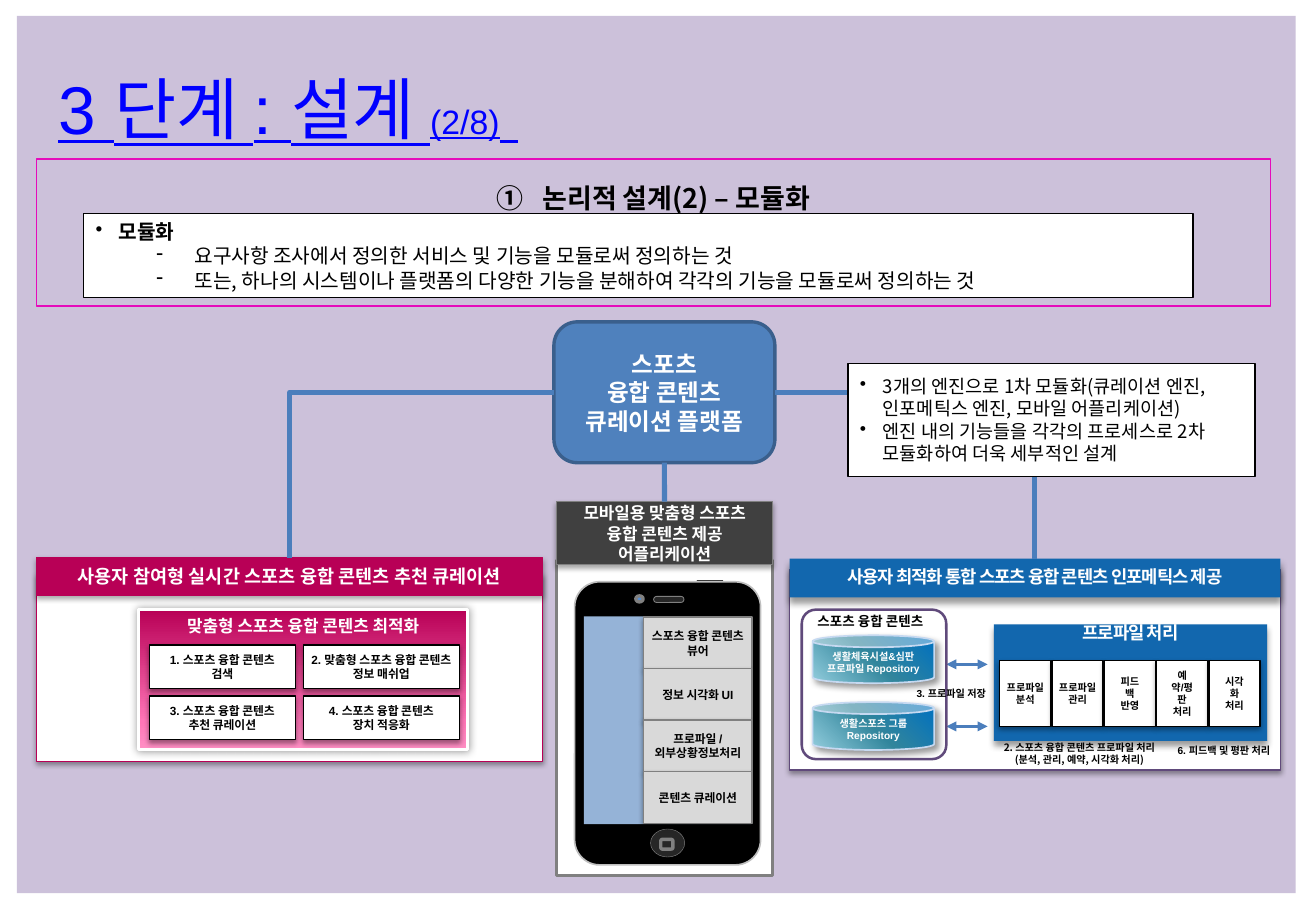
"""Builds the modular design slide of a sports content curation platform."""
import lxml.etree
import pptx
import pptx.dml.color
import pptx.enum.shapes
import pptx.enum.text
import pptx.oxml.ns
import pptx.util

TITLE = [("3 단계 : 설계 ", 40), ("(2/8)", 20), (" ", 40)]
HEADING = "논리적 설계(2) – 모듈화"
POINTS = [
    ("모듈화", "•", 13.5, 13.5, True),
    ("요구사항 조사에서 정의한 서비스 및 기능을 모듈로써 정의하는 것", "-", 58.5, 22.5, False),
    ("또는, 하나의 시스템이나 플랫폼의 다양한 기능을 분해하여 각각의 기능을 모듈로써 정의하는 것", "-", 58.5, 22.5, False),
]
NOTES = [
    "3개의 엔진으로 1차 모듈화(큐레이션 엔진, 인포메틱스 엔진, 모바일 어플리케이션)",
    "엔진 내의 기능들을 각각의 프로세스로 2차 모듈화하여 더욱 세부적인 설계",
]
CORE = ["스포츠", "융합 콘텐츠", "큐레이션 플랫폼"]
LEFT = "사용자 참여형 실시간 스포츠 융합 콘텐츠 추천 큐레이션"
BEST = "맞춤형 스포츠 융합 콘텐츠 최적화"
TASKS = [
    ["1. 스포츠 융합 콘텐츠", "검색"],
    ["2. 맞춤형 스포츠 융합 콘텐츠", "정보 매쉬업"],
    ["3. 스포츠 융합 콘텐츠", "추천 큐레이션"],
    ["4. 스포츠 융합 콘텐츠", "장치 적응화"],
]
RIGHT = "사용자 최적화 통합 스포츠 융합 콘텐츠 인포메틱스 제공"
PROFILE = "프로파일 처리"
STEPS = [
    (["프로파일 분석"], 0), (["프로파일 관리"], 0), (["피드백", "반영"], 7.2),
    (["예약/평판", "처리"], 7.2), (["시각화", "처리"], 7.2),
]
STORES = ["생활체육시설&심판 프로파일 Repository", "생활스포츠 그룹 Repository"]
LABELS = [
    (["스포츠 융합 콘텐츠"], (467.3, 363.6, 97.2, 9.4), 8, "Arial"),
    (["2. 스포츠 융합 콘텐츠 프로파일 처리", "(분석, 관리, 예약, 시각화 처리)"],
     (586.1, 439.2, 107.3, 14.4), 6, "Noto Sans CJK KR"),
    (["3. 프로파일 저장"], (524.2, 407.5, 79.2, 7.2), 6, "Arial"),
    (["6. 피드백 및 평판 처리"], (691.9, 441.4, 67, 7.2), 6, "Arial"),
]
MOBILE = ["모바일용 맞춤형 스포츠 융합 콘텐츠 제공", "어플리케이션"]
APPS = [["스포츠 융합 콘텐츠", "뷰어"], ["정보 시각화 UI"], ["프로파일 / 외부상황정보처리"], ["콘텐츠 큐레이션"]]
PHONE = [
    ("round", (412.9, 343.8, 15.8, 3.6), "262626", None, 0, None),
    ("round", (340.6, 344.9, 110.2, 167.8), "000000", "BFBFBF", 1, 0.135),
    ("rect", (346, 365.4, 99.4, 123.1), "95B3D7", None, 0, None),
    ("oval", (385.6, 491.4, 20.2, 16.6), "262626", "808080", 0.25, None),
    ("round", (391.7, 497.5, 7.2, 5.8), None, "808080", 2, None),
    ("round", (387.4, 353.5, 18, 3.6), "262626", "808080", 0.5, 0.5),
    ("oval", (376.9, 353.2, 4.3, 3.6), "558ED5", "808080", 2, None),
]
THEME = {
    "latin": "Arial", "asian": "Noto Sans CJK KR",
    "ink": "000000", "paper": "FFFFFF", "link": "0000FF", "back": "CCC1DA",
    "frame": "E50BBB", "core": "4F81BD", "rim": "3A5F8C", "wire": "4B7EBC",
    "rose": "B80056", "blue": "1267AE", "plum": "604A7B", "grey": "808080",
    "dark": "404040", "tile": "D9D9D9", "ice": "C6D9F1",
    "pink": [(0, "B80056"), (80, "FF75B7"), (100, "FF8FC4")],
    "sea": [(0, "0070C0"), (50, "31859C"), (100, "93CDDD")],
    "head": 16, "point": 12, "note": 11, "hub": 14, "bar": 11, "slim": 10.5,
    "sub": 10, "task": 7, "step": 6,
}
SOFT, BAR, DEEP = (38, 3.1, 1.6, 90), (35, 3.1, 1.8, 90), (40, 4, 3, 90)
GLOW, SLANT = (40, 5, 0, 0), (40, 4, 3, 45)
KIND = pptx.enum.shapes.MSO_SHAPE
FORMS = {"rect": KIND.RECTANGLE, "round": KIND.ROUNDED_RECTANGLE, "oval": KIND.OVAL, "can": KIND.CAN}
ALIGN, ANCHOR = pptx.enum.text.PP_ALIGN, pptx.enum.text.MSO_ANCHOR
JOIN = pptx.enum.shapes.MSO_CONNECTOR
Pt = pptx.util.Pt

deck = pptx.Presentation()
deck.slide_width, deck.slide_height = Pt(780), Pt(540)
slide = deck.slides.add_slide(deck.slide_layouts[6])


def tone(key):
    return pptx.dml.color.RGBColor.from_string(THEME.get(key, key))


def node(parent, tag, **attrs):
    child = lxml.etree.SubElement(parent, pptx.oxml.ns.qn("a:" + tag))
    for key, value in attrs.items():
        child.set(key, str(value))
    return child


def blend(shape, stops, angle):
    shape.fill.gradient()
    shape.fill.gradient_angle = 360 - angle
    holder = shape._element.spPr.find(".//" + pptx.oxml.ns.qn("a:gsLst"))
    for old in list(holder):
        holder.remove(old)
    for spot, color in stops:
        node(node(holder, "gs", pos=spot * 1000), "srgbClr", val=color)


def box(at, fill=None, edge=None, width=0.75, shade=None, form="rect", bend=None, angle=90):
    shape = slide.shapes.add_shape(FORMS[form], *map(Pt, at))
    shape.shadow.inherit = False
    if bend is not None:
        shape.adjustments[0] = bend
    if fill is None:
        shape.fill.background()
    elif isinstance(THEME.get(fill), list):
        blend(shape, THEME[fill], angle)
    else:
        shape.fill.solid()
        shape.fill.fore_color.rgb = tone(fill)
    if edge:
        shape.line.color.rgb = tone(edge)
        shape.line.width = Pt(width)
    else:
        shape.line.fill.background()
    if shade:
        alpha, blur, dist, turn = shade
        effect = shape._element.spPr.find(pptx.oxml.ns.qn("a:effectLst"))
        cast = node(effect, "outerShdw", blurRad=Pt(blur), dist=Pt(dist), dir=turn * 60000, rotWithShape=0)
        node(node(cast, "srgbClr", val=THEME["ink"]), "alpha", val=alpha * 1000)
    return shape


def style(para, size, color="ink", font="latin", bold=True, space=0):
    para.font.size, para.font.bold = Pt(size), bold
    para.font.name = THEME.get(font, font)
    para.font.color.rgb = tone(color)
    props = para._p.pPr.find(pptx.oxml.ns.qn("a:defRPr"))
    node(props, "ea", typeface=THEME["asian"])
    if space:
        props.set("spc", str(space))


def bullet(para, mark, left, hang):
    props = para._p.get_or_add_pPr()
    props.set("marL", str(Pt(left)))
    props.set("indent", str(-Pt(hang)))
    if mark == "①":
        node(props, "buAutoNum", type="circleNumDbPlain")
    else:
        node(props, "buChar", char=mark)


def setup(shape, side=7.2, top=3.6, anchor=ANCHOR.MIDDLE):
    frame = shape.text_frame
    frame.word_wrap, frame.vertical_anchor = True, anchor
    frame.margin_left = frame.margin_right = Pt(side)
    frame.margin_top = frame.margin_bottom = Pt(top)
    return frame


def lines(frame, texts):
    for place, text in enumerate(texts):
        para = frame.add_paragraph() if place else frame.paragraphs[0]
        para.text = text
        yield para


def write(shape, texts, size, color="ink", font="latin", ratio=None, space=0, **layout):
    for para in lines(setup(shape, **layout), texts):
        para.alignment = ALIGN.CENTER
        if ratio:
            para.line_spacing = ratio
        style(para, size, color, font, space=space)


def wire(ends, width, form=JOIN.STRAIGHT):
    line = slide.shapes.add_connector(form, *map(Pt, ends))
    line.line.color.rgb, line.line.width = tone("wire"), Pt(width)
    node(line._element.spPr, "effectLst")
    return line


box((10, 9.4, 758, 520), "back")
frame = setup(box((21.6, 94.3, 731.5, 87.1), edge="frame"), anchor=ANCHOR.TOP)
for para in lines(frame, [HEADING]):
    para.line_spacing = 1.5
    bullet(para, "①", 27, 27)
    style(para, THEME["head"], font="asian")

title = setup(slide.shapes.add_textbox(*map(Pt, (27.4, 36, 629.3, 55.4))), anchor=ANCHOR.TOP).paragraphs[0]
style(title, TITLE[0][1], "link", bold=False)
title.font.underline = True
for text, size in TITLE:
    run = title.add_run()
    run.text, run.font.size = text, Pt(size)

frame = setup(box((49.7, 126.7, 657.4, 49.7), "paper", "ink"))
for para, point in zip(lines(frame, [point[0] for point in POINTS]), POINTS):
    bullet(para, *point[1:4])
    para.level = int(point[1] == "-")
    para.alignment = ALIGN.LEFT
    style(para, THEME["point"], font="asian", bold=point[4])

core = box((328.3, 190.8, 131, 83.5), "core", "rim", 2, form="round")
write(core, CORE, THEME["hub"], "paper", "asian")

box((21.6, 339.8, 300.2, 111.6), "paper", "rose", shade=SOFT)
left = box((21.6, 330.5, 300.2, 22.3), "rose", "rose", shade=BAR)
write(left, [LEFT], THEME["bar"], "paper", "asian")
best = box((82.1, 361.4, 195.1, 82.8), "pink", "paper", 2, GLOW)
write(best, [BEST], THEME["sub"], "paper", anchor=ANCHOR.TOP)
for place, task in enumerate(TASKS):
    row, col = divmod(place, 2)
    cell = box((88.6 + 91.2 * col, 382.3 + 30.3 * row, 86.4 + 6 * col, 25.9), "paper", "ink", shade=SOFT)
    write(cell, task, THEME["task"], side=0)

box((468, 337.7, 290.9, 118.8), "paper", "plum", shade=SOFT)
right = box((468, 331.2, 290.9, 23), "blue", shade=DEEP)
write(right, [RIGHT], THEME["slim"], "paper", ratio=0.9, space=-50)
profile = box((589, 370.1, 162, 69.1), "blue", shade=DEEP)
write(profile, [PROFILE], THEME["slim"], "paper", ratio=0.9, space=-50, top=0, anchor=ANCHOR.TOP)
for place, (texts, side) in enumerate(STEPS):
    cell = box((592.6 + 31 * place, 391.7, 30.2, 38.9), "paper", "ink", shade=SOFT)
    write(cell, texts, THEME["step"], side=side)
for place, store in enumerate(STORES):
    can = box((481.7, 376.6 + 39.6 * place, 72, 28.4), "sea", "ice", 1, SLANT, "can", angle=135)
    write(can, [store], THEME["step"], "paper")
    level = 393.8 + 36.8 * place
    arrow = wire((560.9, level, 585.4, level), 1.75)
    for end in ("headEnd", "tailEnd"):
        node(arrow.line._get_or_add_ln(), end, type="triangle")
box((475.2, 361.4, 85.7, 88.6), edge="plum", width=1.5, form="round", bend=0.097)
for texts, at, size, font in LABELS:
    label = slide.shapes.add_textbox(*map(Pt, at))
    write(label, texts, size, font=font, side=0, top=0, anchor=ANCHOR.TOP)

box((329.8, 332.6, 128.2, 186.5), "paper", "grey", 2)
for form, at, fill, edge, width, bend in PHONE:
    box(at, fill, edge, width, form=form, bend=bend)
mobile = box((329.8, 297.4, 128.2, 37.4), "dark", "grey", shade=BAR, form="round", bend=0)
write(mobile, MOBILE, THEME["sub"], "paper")
for place, app in enumerate(APPS):
    cell = box((381.6, 365.8 + 30.5 * place, 64.1, 31), "tile", "grey", shade=SOFT)
    write(cell, app, THEME["task"], side=0)

for site, goal in ((1, left), (3, right), (2, mobile)):
    line = wire((0, 0, 0, 0), 3, JOIN.STRAIGHT if site == 2 else JOIN.ELBOW)
    line.begin_connect(core, site)
    line.end_connect(goal, 0)
    if site != 2:
        line._element.spPr.prstGeom.set("prst", "bentConnector2")

frame = setup(box((502.6, 215.3, 241.2, 67), "paper", "ink"))
for para in lines(frame, NOTES):
    bullet(para, "•", 13.5, 13.5)
    para.alignment = ALIGN.LEFT
    style(para, THEME["note"], font="asian", bold=False)

deck.save("out.pptx")
